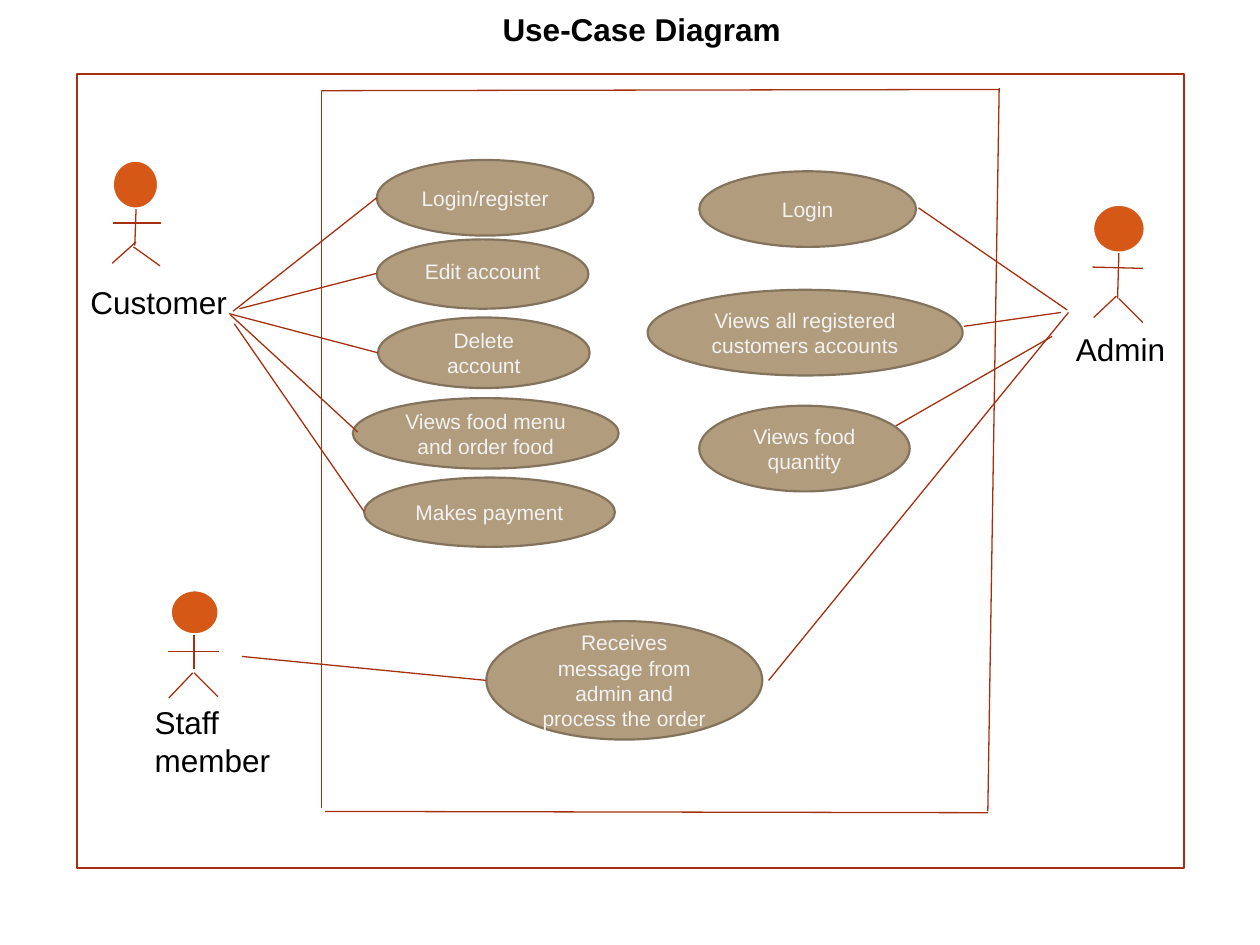
from lxml.etree import SubElement
from pptx import Presentation
from pptx.dml.color import RGBColor
from pptx.enum.shapes import MSO_CONNECTOR, MSO_SHAPE
from pptx.enum.text import MSO_ANCHOR, MSO_AUTO_SIZE, PP_ALIGN
from pptx.oxml.ns import qn
from pptx.util import Inches, Pt

RUST = "A5300F"
ORANGE = "D55816"
TAN = "B19C7D"
BROWN = "83735C"
WHITE = "FFFFFF"
PALE = "F2F2F2"
BLACK = "000000"

LABELS = [
    ("Customer", 0.62, 2.2, 1.34, 0.4),
    ("Admin", 8.44, 2.57, 0.92, 0.4),
    ("Staff member", 1.13, 5.53, 1.2, 0.71),
]

USE_CASES = [
    ("Login/register", 2.99, 1.27, 1.72, 0.6),
    ("Edit account", 2.99, 1.9, 1.68, 0.55),
    ("Delete account", 3, 2.52, 1.68, 0.56),
    ("Views food menu and order food", 2.8, 3.16, 2.11, 0.56),
    ("Makes payment", 2.89, 3.79, 1.99, 0.55),
    ("Login", 5.55, 1.36, 1.72, 0.6),
    ("Views all registered customers accounts", 5.14, 2.3, 2.5, 0.68),
    ("Views food quantity", 5.55, 3.22, 1.67, 0.68),
    ("Receives message from admin and process the order",
     3.86, 4.93, 2.19, 0.94),
]

# Each actor: head box, then body, arms, left leg and right leg.
ACTORS = [
    ((0.89, 1.27, 0.37, 0.39),
     [(1.08, 1.66, 1.07, 1.95), (0.9, 1.77, 1.28, 1.77),
      (1.08, 1.92, 0.89, 2.09), (1.06, 1.96, 1.27, 2.11)]),
    ((8.67, 1.62, 0.42, 0.39),
     [(8.88, 2.01, 8.87, 2.37), (8.67, 2.12, 9.07, 2.13),
      (8.86, 2.35, 8.68, 2.52), (8.88, 2.37, 9.07, 2.56)]),
    ((1.35, 4.68, 0.39, 0.36),
     [(1.54, 5.04, 1.54, 5.31), (1.33, 5.17, 1.74, 5.17),
      (1.53, 5.34, 1.34, 5.54), (1.54, 5.34, 1.73, 5.53)]),
]

SYSTEM_BOUNDARY = [
    (2.55, 0.72, 7.93, 0.71),
    (7.93, 0.7, 7.84, 6.44),
    (7.84, 6.45, 2.58, 6.44),
    (2.55, 0.72, 2.55, 6.41),
]

ASSOCIATIONS = [
    (1.85, 2.47, 2.99, 1.57),
    (2.99, 2.17, 1.9, 2.45),
    (1.82, 2.49, 3, 2.8),
    (1.83, 2.5, 2.84, 3.43),
    (1.86, 2.57, 2.89, 4.06),
    (8.47, 2.46, 7.29, 1.65),
    (8.42, 2.48, 7.65, 2.59),
    (8.35, 2.67, 7.11, 3.38),
    (8.48, 2.48, 6.1, 5.4),
    (1.92, 5.21, 3.86, 5.4),
]


def color(value):
    return RGBColor.from_string(value)


def add_run(paragraph, text, size, font_color, bold=False):
    run = paragraph.add_run()
    run.text = text
    run.font.name = "Arial"
    run.font.size = Pt(size)
    run.font.bold = bold
    run.font.color.rgb = color(font_color)


def add_label(slide, text, left, top, width, height, bold=False):
    box = slide.shapes.add_textbox(*map(Inches, (left, top, width, height)))
    box.text_frame.word_wrap = True
    box.text_frame.auto_size = MSO_AUTO_SIZE.SHAPE_TO_FIT_TEXT
    add_run(box.text_frame.paragraphs[0], text, 18, BLACK, bold)


def add_outlined(slide, kind, bounds, fill, line, line_width):
    shape = slide.shapes.add_shape(kind, *map(Inches, bounds))
    shape.shadow.inherit = False
    if fill:
        shape.fill.solid()
        shape.fill.fore_color.rgb = color(fill)
    else:
        shape.fill.background()
    shape.line.color.rgb = color(line)
    shape.line.width = Pt(line_width)
    return shape


def add_use_case(slide, text, *bounds):
    ellipse = add_outlined(slide, MSO_SHAPE.OVAL, bounds, TAN, BROWN, 1.25)
    frame = ellipse.text_frame
    frame.word_wrap = True
    frame.vertical_anchor = MSO_ANCHOR.MIDDLE
    if text == "Edit account":
        frame.margin_bottom = Inches(0.1)
    paragraph = frame.paragraphs[0]
    paragraph.alignment = PP_ALIGN.CENTER
    add_run(paragraph, text, 12, PALE)


def add_line(slide, *ends):
    line = slide.shapes.add_connector(MSO_CONNECTOR.STRAIGHT,
                                      *map(Inches, ends))
    line.line.color.rgb = color(RUST)
    line.line.width = Pt(0.75)
    SubElement(line._element.spPr, qn("a:effectLst"))


def add_actor(slide, head, limbs):
    add_outlined(slide, MSO_SHAPE.FLOWCHART_CONNECTOR, head, ORANGE, WHITE, 2)
    for limb in limbs:
        add_line(slide, *limb)


def main():
    presentation = Presentation()
    presentation.slide_width = Inches(10)
    presentation.slide_height = Inches(7.5)
    slide = presentation.slides.add_slide(presentation.slide_layouts[6])

    add_outlined(slide, MSO_SHAPE.RECTANGLE, (0.61, 0.59, 8.79, 6.3),
                 None, RUST, 1.25)
    add_label(slide, "Use-Case Diagram", 3.89, 0.03, 5, 0.4, bold=True)
    for use_case in USE_CASES:
        add_use_case(slide, *use_case)
    for head, limbs in ACTORS:
        add_actor(slide, head, limbs)
    for ends in SYSTEM_BOUNDARY + ASSOCIATIONS:
        add_line(slide, *ends)
    for label in LABELS:
        add_label(slide, *label)

    presentation.save("out.pptx")


if __name__ == "__main__":
    main()
